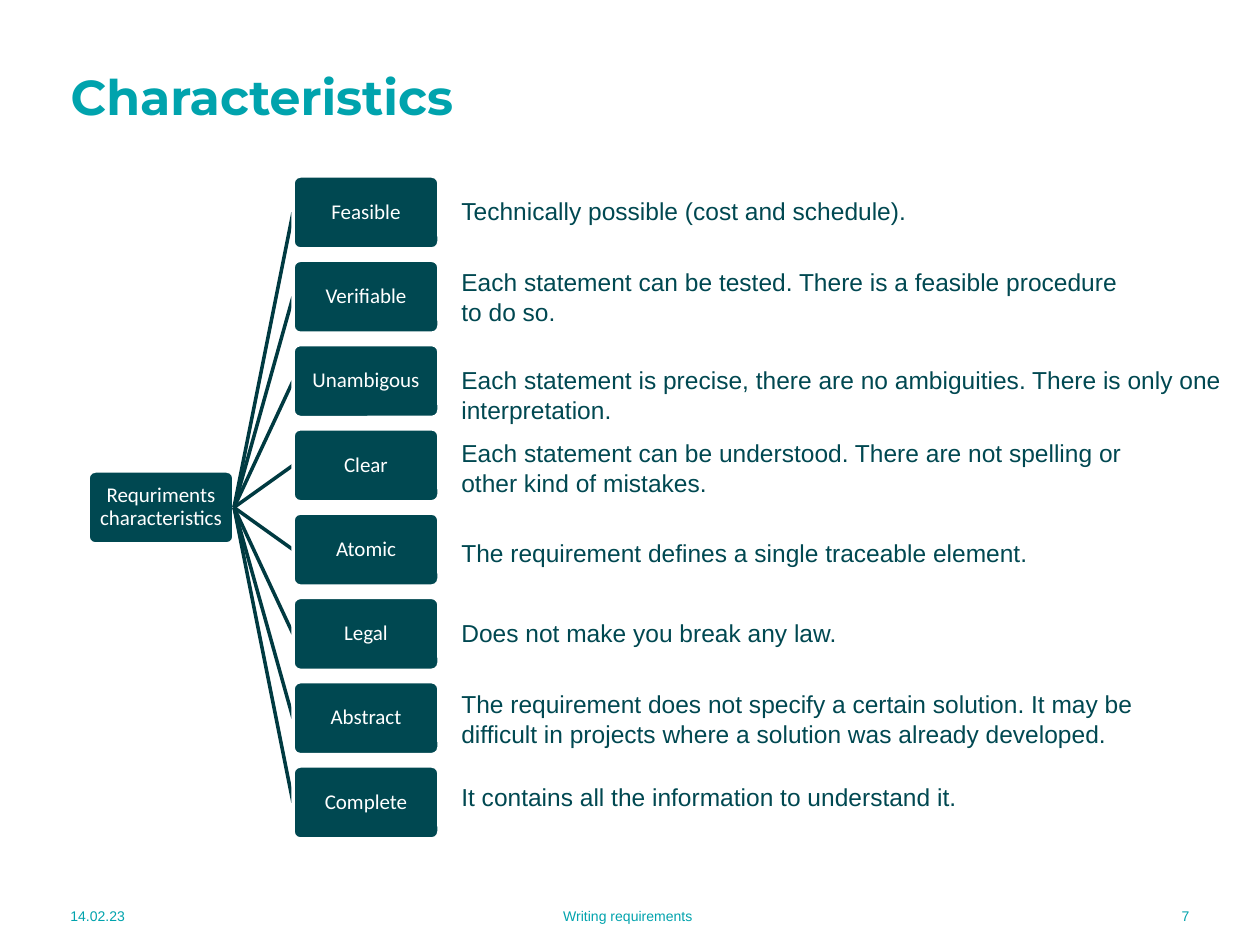
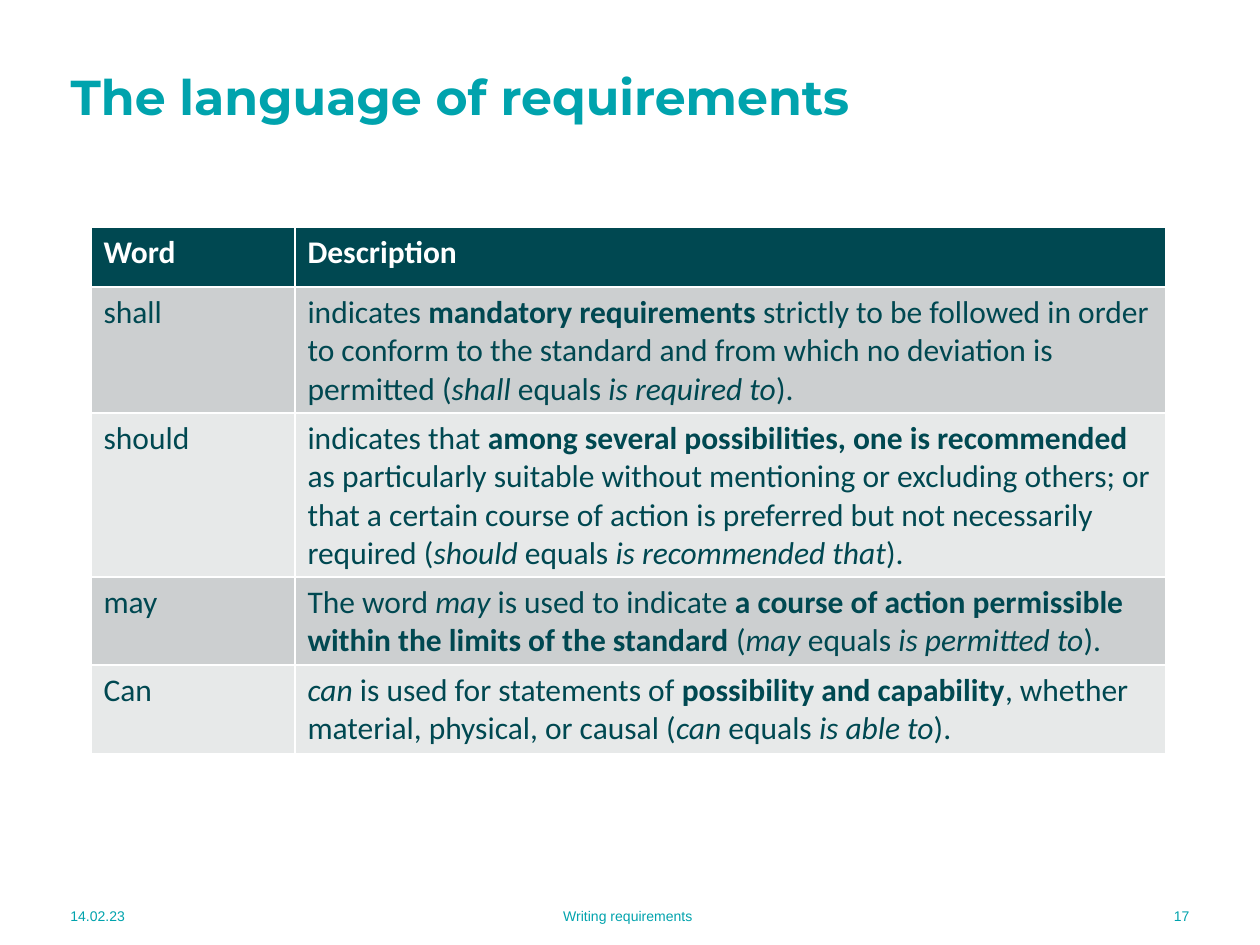
from lxml import etree
from pptx import Presentation
from pptx import util as u
from pptx.dml.color import RGBColor
from pptx.enum import shapes, text
from pptx.oxml.ns import qn

COLORS = {
    "accent": "00A3AD",
    "dark": "004851",
    "link": "003A41",
    "white": "FFFFFF",
    "band_odd": "CCCFD0",
    "band_even": "E7E9E9",
}
EMU_PER_PX = 914400 / 126
TITLE_ONLY = 5
LEFT, CENTER, RIGHT = text.PP_ALIGN.LEFT, text.PP_ALIGN.CENTER, text.PP_ALIGN.RIGHT

CHARACTERISTICS = [
    ("Feasible", 14, 703, 43, "Technically possible (cost and schedule)."),
    ("Verifiable", 85, 703, 72,
     "Each statement can be tested. There is a feasible procedure to do so."),
    ("Unambigous", 183, 811, 72,
     "Each statement is precise, there are no ambiguities. There is only one interpretation."),
    ("Clear", 256, 703, 72,
     "Each statement can be understood. There are not spelling or other kind of mistakes."),
    ("Atomic", 356, 703, 43, "The requirement defines a single traceable element."),
    ("Legal", 436, 703, 43, "Does not make you break any law."),
    ("Abstract", 507, 703, 72,
     "The requirement does not specify a certain solution. "
     "It may be difficult in projects where a solution was already developed."),
    ("Complete", 600, 703, 43, "It contains all the information to understand it."),
]

WORDS = [
    ("shall", [
        ("", "indicates "), ("bold", "mandatory requirements "),
        ("", "strictly to be followed in order to conform to the standard "
             "and from which no deviation is permitted ("),
        ("italic", "shall "), ("", "equals "), ("italic", "is required to"), ("", ").")]),
    ("should", [
        ("", "indicates that "),
        ("bold", "among several possibilities, one is recommended "),
        ("", "as particularly suitable without mentioning or excluding others; or that "
             "a certain course of action is preferred but not necessarily required ("),
        ("italic", "should "), ("", "equals "), ("italic", "is recommended that"), ("", ").")]),
    ("may", [
        ("", "The word "), ("italic", "may "), ("", "is used to indicate "),
        ("bold", "a course of action permissible within the limits of the standard "),
        ("", "("), ("italic", "may "), ("", "equals "), ("italic", "is permitted to"),
        ("", ").")]),
    ("Can", [
        ("italic", "can "), ("", "is used for statements of "),
        ("bold", "possibility and capability"),
        ("", ", whether material, physical, or causal ("),
        ("italic", "can "), ("", "equals "), ("italic", "is able to"), ("", ").")]),
]


def px(length):
    """Turn pixels into EMU."""
    return u.Emu(round(length * EMU_PER_PX))


def rgb(name):
    """Look up a named colour."""
    return RGBColor.from_string(COLORS[name])


def style(paragraph, font_name, size, color, align=LEFT, bold=False):
    """Format a whole paragraph."""
    paragraph.alignment = align
    font = paragraph.font
    font.name, font.size, font.bold = font_name, u.Pt(size), bold
    font.color.rgb = rgb(color)


def add_label(slide, box, words, size, color, align=LEFT, anchor=text.MSO_ANCHOR.TOP):
    """Add a wrapping Arial text box."""
    frame = slide.shapes.add_textbox(*map(px, box)).text_frame
    frame.word_wrap = True
    frame.vertical_anchor = anchor
    frame.text = words
    style(frame.paragraphs[0], "Arial", size, color, align)


def add_titled_slide(presentation, heading, number):
    """Add a slide with its title and the three footer parts."""
    slide = presentation.slides.add_slide(presentation.slide_layouts[TITLE_ONLY])
    title = slide.shapes.title
    title.left, title.top, title.width, title.height = map(px, (58, 66, 1056, 59))
    title.text_frame.text = heading
    title.text_frame.vertical_anchor = text.MSO_ANCHOR.MIDDLE
    style(title.text_frame.paragraphs[0], "Montserrat", 28, "accent", bold=True)
    footers = [(58, 163, "14.02.23", LEFT), (299, 658, "Writing requirements", CENTER),
               (1048, 154, str(number), RIGHT)]
    for left, width, words, align in footers:
        add_label(slide, (left, 891, width, 50), words, 8, "accent", align,
                  text.MSO_ANCHOR.MIDDLE)
    return slide


def add_node(slide, box, words):
    """Add one rounded node of the tree."""
    node = slide.shapes.add_shape(shapes.MSO_SHAPE.ROUNDED_RECTANGLE, *map(px, box))
    node.adjustments[0] = 0.1
    node.shadow.inherit = False
    node.fill.solid()
    node.fill.fore_color.rgb = rgb("dark")
    node.line.color.rgb = rgb("white")
    node.line.width = u.Pt(2)
    frame = node.text_frame
    frame.word_wrap = True
    frame.vertical_anchor = text.MSO_ANCHOR.MIDDLE
    frame.margin_left = frame.margin_right = frame.margin_top = frame.margin_bottom = px(3)
    frame.text = words
    paragraph = frame.paragraphs[0]
    style(paragraph, "Calibri", 12, "white", CENTER)
    paragraph.line_spacing = 0.9


def add_link(slide, start, end):
    """Add a straight line between two points."""
    link = slide.shapes.add_connector(shapes.MSO_CONNECTOR.STRAIGHT, *map(px, start + end))
    link.line.color.rgb = rgb("link")
    link.line.width = u.Pt(2)
    etree.SubElement(link._element.spPr, qn("a:effectLst"))


def add_tree(slide, box):
    """Add the root, its linked nodes and their descriptions."""
    left, top, width, height = box
    node_width, node_height = 146, 73
    node_left = left + width - node_width
    step = (height - node_height) / (len(CHARACTERISTICS) - 1)
    middle = top + height / 2
    add_node(slide, (left, middle - node_height / 2, node_width, node_height),
             "Requriments characteristics")
    for index, (name, offset, text_width, text_height, words) in enumerate(CHARACTERISTICS):
        node_top = top + index * step
        add_link(slide, (left + node_width, middle), (node_left, node_top + node_height / 2))
        add_node(slide, (node_left, node_top, node_width, node_height), name)
        add_label(slide, (left + width + 10, top + offset, text_width, text_height),
                  words, 14, "dark")


def fill_cell(cell, runs, fill, color, bold=False):
    """Write styled runs into a table cell."""
    cell.fill.solid()
    cell.fill.fore_color.rgb = rgb(fill)
    paragraph = cell.text_frame.paragraphs[0]
    style(paragraph, "Calibri", 18, color, bold=bold)
    for emphasis, words in runs:
        run = paragraph.add_run()
        run.text = words
        if emphasis:
            setattr(run.font, emphasis, True)


def add_word_table(slide, box):
    """Add the table of requirement words."""
    left, top, width, height = box
    frame = slide.shapes.add_table(len(WORDS) + 1, 2, *map(px, box))
    table = frame.table
    table.horz_banding = False
    word_width = 204
    table.columns[0].width = px(word_width)
    table.columns[1].width = px(width - word_width)
    for row in table.rows:
        row.height = px(60)
    frame.height = px(height)
    for column, heading in enumerate(("Word", "Description")):
        fill_cell(table.cell(0, column), [("", heading)], "dark", "white", True)
    for row, (word, description) in enumerate(WORDS, 1):
        band = "band_odd" if row % 2 else "band_even"
        fill_cell(table.cell(row, 0), [("", word)], band, "dark")
        fill_cell(table.cell(row, 1), description, band, "dark")


def main():
    """Build and save the presentation."""
    presentation = Presentation()
    presentation.slide_width, presentation.slide_height = px(1260), px(945)
    add_tree(add_titled_slide(presentation, "Characteristics", 7), (88, 176, 351, 663))
    add_word_table(add_titled_slide(presentation, "The language of requirements", 17),
                   (91, 227, 1075, 527))
    presentation.save("out.pptx")


if __name__ == "__main__":
    main()
